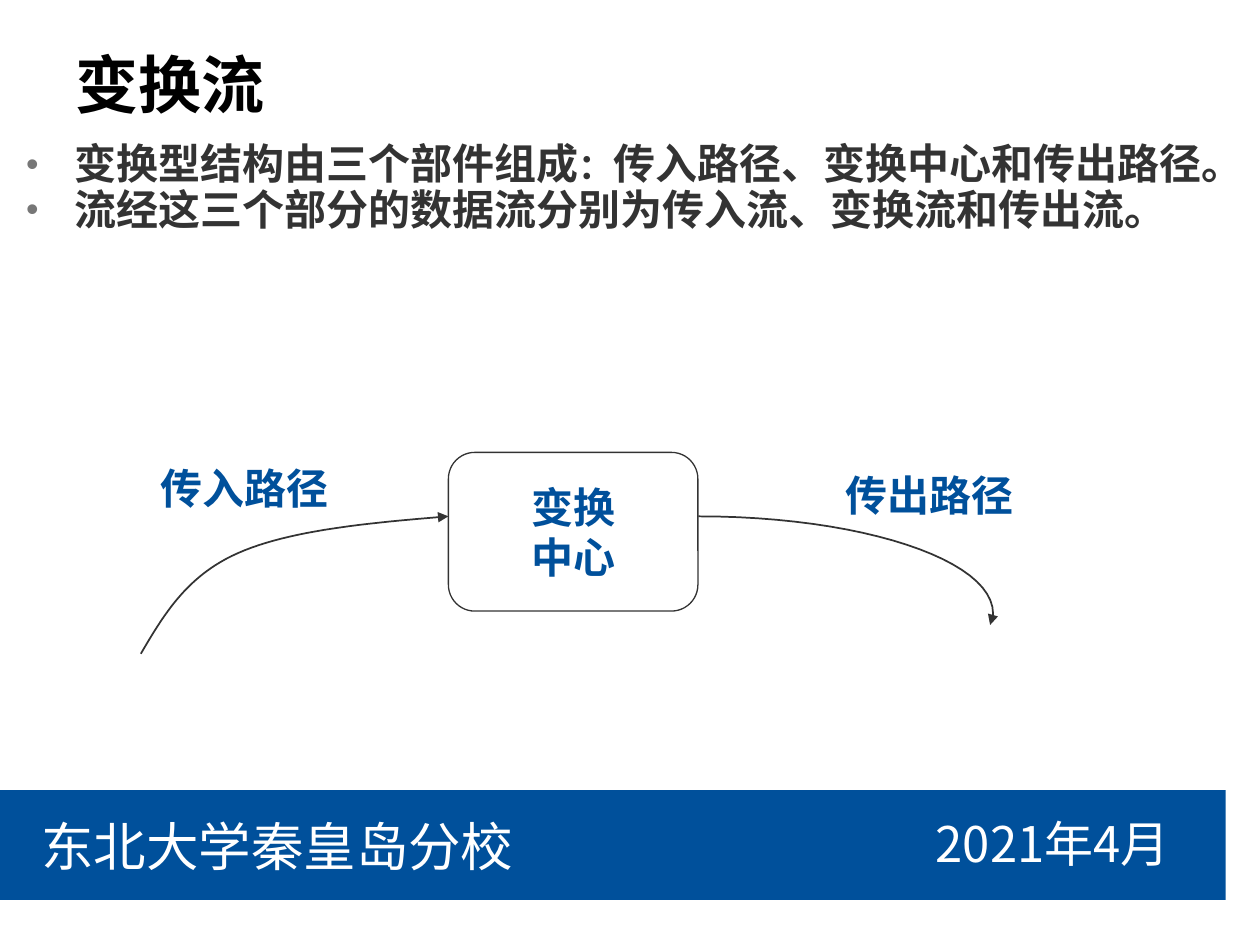
from lxml.etree import SubElement
from pptx import Presentation
from pptx.dml.color import RGBColor
from pptx.enum.shapes import MSO_SHAPE
from pptx.enum.text import MSO_ANCHOR, MSO_AUTO_SIZE, PP_ALIGN
from pptx.oxml.ns import qn
from pptx.util import Cm, Pt

COLORS = {"blue": "00509B", "white": "FFFFFF", "black": "000000",
          "text": "333333", "bullet": "777777"}
CJK = "Noto Sans CJK SC"


def rgb(name):
    return RGBColor.from_string(COLORS[name])


def add_run(p, text, size=24, font="Arial", color="blue", bold=True):
    r = p.add_run()
    r.text = text
    r.font.size, r.font.bold, r.font.name = Pt(size), bold, font
    r.font.color.rgb = rgb(color)
    SubElement(r.font._element, qn("a:ea"), typeface=font)


def bezier(p0, p1, p2, p3, steps=24):
    """Points on a cubic curve, without its start."""
    for i in range(1, steps + 1):
        t = i / steps
        u = 1 - t
        yield tuple(u**3 * a + 3 * u * u * t * b + 3 * u * t * t * c + t**3 * d
                    for a, b, c, d in zip(p0, p1, p2, p3))


class Deck:
    def __init__(self, width, height):
        self.prs = Presentation()
        self.prs.slide_width, self.prs.slide_height = Cm(width), Cm(height)
        self.s = self.prs.slides.add_slide(self.prs.slide_layouts[5])

    def title(self, text, box, **fmt):
        sp = self.s.shapes.title
        sp.left, sp.top, sp.width, sp.height = map(Cm, box)
        tf = sp.text_frame
        tf.auto_size = MSO_AUTO_SIZE.NONE
        tf.vertical_anchor = MSO_ANCHOR.MIDDLE
        tf.paragraphs[0].alignment = PP_ALIGN.LEFT
        add_run(tf.paragraphs[0], text, **fmt)

    def text(self, text, box, align=PP_ALIGN.CENTER, wrap=True, **fmt):
        tf = self.s.shapes.add_textbox(*map(Cm, box)).text_frame
        tf.word_wrap = wrap
        tf.paragraphs[0].alignment = align
        add_run(tf.paragraphs[0], text, **fmt)

    def bullets(self, items, box, indent=0.97, **fmt):
        tf = self.s.shapes.add_textbox(*map(Cm, box)).text_frame
        tf.word_wrap = True
        for i, runs in enumerate(items):
            p = tf.add_paragraph() if i else tf.paragraphs[0]
            p.line_spacing = 0.9
            pPr = p._p.get_or_add_pPr()
            pPr.set("marL", str(Cm(indent)))
            pPr.set("indent", str(-Cm(indent)))
            clr = SubElement(pPr, qn("a:buClr"))
            SubElement(clr, qn("a:srgbClr"), val=COLORS["bullet"])
            SubElement(pPr, qn("a:buSzPct"), val="85000")
            SubElement(pPr, qn("a:buFont"), typeface="Arial")
            SubElement(pPr, qn("a:buChar"), char="•")
            for text, size in runs:
                add_run(p, text, size=size, **fmt)

    def shape(self, kind, box, fill, line=None, lines=()):
        sp = self.s.shapes.add_shape(kind, *map(Cm, box))
        sp.shadow.inherit = False
        sp.fill.solid()
        sp.fill.fore_color.rgb = rgb(fill)
        if line:
            sp.line.color.rgb, sp.line.width = rgb(line), Pt(0.75)
        else:
            sp.line.fill.background()
        tf = sp.text_frame
        tf.vertical_anchor = MSO_ANCHOR.MIDDLE
        for i, text in enumerate(lines):
            p = tf.add_paragraph() if i else tf.paragraphs[0]
            p.alignment = PP_ALIGN.CENTER
            add_run(p, text)

    def curved_arrow(self, start, *curves):
        points = [start]
        for curve in curves:
            points.extend(bezier(points[-1], *curve))
        points = [(Cm(x), Cm(y)) for x, y in points]
        fb = self.s.shapes.build_freeform(*points[0])
        fb.add_line_segments(points[1:], close=False)
        sp = fb.convert_to_shape()
        sp.shadow.inherit = False
        sp.fill.background()
        sp.line.color.rgb, sp.line.width = rgb("text"), Pt(1)
        SubElement(sp._element.spPr.find(qn("a:ln")), qn("a:tailEnd"), type="triangle")


def main():
    deck = Deck(25.4, 19.05)

    # Footer band
    footer = dict(font=CJK, color="white", bold=False)
    deck.shape(MSO_SHAPE.RECTANGLE, (0, 15.93, 24.71, 2.21), "blue")
    deck.text("东北大学秦皇岛分校", (0.58, 16.28, 10.13, 1.55), PP_ALIGN.LEFT,
              wrap=False, size=30, **footer)
    deck.text("2021年4月", (18.26, 16.28, 5.92, 1.32), size=28, **footer)

    # Title and bullets
    deck.title("变换流", (1.27, 0.76, 22.15, 1.83), size=36, font="Cabin", color="black")
    deck.bullets([
        [("变换型结构由三个部件组成", 24), ("：", 20), ("传入路径、变换中心和传出路径。", 24)],
        [("流经这三个部分的数据流分别为传入流、变换流和传出流。", 24)],
    ], (0.28, 2.77, 26.72, 12.9), font=CJK, color="text")

    # Transform centre with its incoming and outgoing paths
    deck.shape(MSO_SHAPE.ROUNDED_RECTANGLE, (9.04, 9.12, 5.03, 3.2), "white", "text",
               ["变换", "中心"])
    deck.curved_arrow((14.08, 10.41),
                      ((17.35, 10.41), (20.02, 11.28), (20.02, 12.37)),
                      ((20.02, 12.45), (19.99, 12.52), (19.96, 12.6)))
    deck.curved_arrow((2.84, 13.18),
                      ((3.3, 12.4), (3.76, 11.61), (4.8, 11.15)),
                      ((5.84, 10.69), (7.44, 10.54), (9.04, 10.41)))
    deck.text("传入路径", (2.18, 9.19, 5.51, 1.27))
    deck.text("传出路径", (16.76, 9.35, 3.94, 1.27), wrap=False)

    deck.prs.save("out.pptx")


if __name__ == "__main__":
    main()
